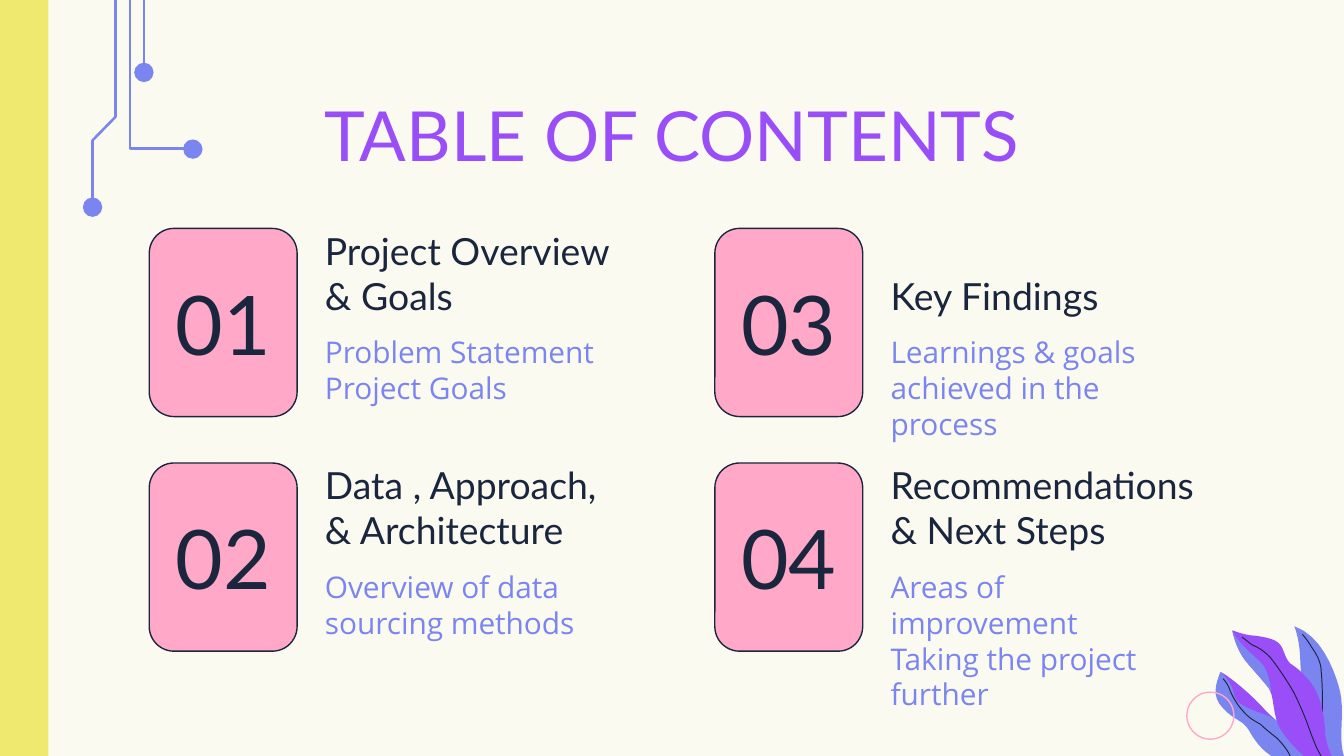
from dataclasses import dataclass

from lxml.etree import SubElement
from pptx import Presentation
from pptx.dml.color import RGBColor
from pptx.enum.shapes import MSO_CONNECTOR, MSO_SHAPE
from pptx.enum.text import MSO_ANCHOR, PP_ALIGN
from pptx.oxml.ns import qn
from pptx.util import Pt


@dataclass(frozen=True)
class Theme:
    cream: str = "FBFAF1"
    yellow: str = "EFE96F"
    pink: str = "FFA8C7"
    blue: str = "7B85EF"
    purple: str = "9A4EF8"
    navy: str = "1A263D"
    heading_font: str = "Lato"
    body_font: str = "Open Sans"
    title_size: float = 37
    number_size: float = 44
    heading_size: float = 20
    body_size: float = 16
    inset: float = 7.2


THEME = Theme()
WIDTH, HEIGHT = 720, 405

SECTIONS = [
    ("01", "Project Overview & Goals", ["Problem Statement", "Project Goals"]),
    ("02", "Data , Approach, & Architecture", ["Overview of data sourcing methods"]),
    ("03", "Key Findings", ["Learnings & goals achieved in the process"]),
    ("04", "Recommendations & Next Steps",
     ["Areas of improvement", "Taking the project further"]),
]

LOW_TIP = (653.8, 360)
LOW_EDGE = (659.5, 362.9, 671, 373, 676.8, 379.4)
LOW_LEAF = [
    LOW_TIP, LOW_EDGE, (682.6, 385.9, 689.8, 390.2, 689.8, 390.2), (702, 405), (681.1, 405),
    (676.1, 401.8, 672.5, 397.4, 668.9, 391), (665.3, 385.2, 661.7, 386.6, 655.2, 379.4),
    (648.7, 373, 651.6, 365.8, 653.8, 360)]
LOW_HALF = [
    LOW_TIP, LOW_EDGE, (678.2, 381.6, 680.4, 383, 682.6, 385.2),
    (679, 382.3, 668.9, 380.9, 663.1, 375.8), (661, 373.7, 661, 369.4, 659.5, 367.2),
    (658.1, 364.3, 655.9, 361.4, 653.8, 360)]
LOW_VEIN = [
    (655.2, 363.6), (656.6, 365, 658.1, 367.2, 658.8, 369.4),
    (660.2, 373, 662.4, 376.6, 664.6, 379.4), (668.9, 384.5, 670.3, 385.2, 675.4, 388.1),
    (677.5, 390.2, 681.1, 393.1, 684, 395.3), (686.9, 398.2, 689.8, 401.8, 691.2, 405)]
RIGHT_LEAF = [
    (693.4, 335.5), (707.8, 340.6, 714.2, 357.8, 717.1, 367.2),
    (720, 376.6, 718.6, 386.6, 718.6, 393.8), (718.6, 401.8, 720, 405, 720, 405), (704.9, 405),
    (704.9, 405, 703.4, 393.1, 702, 383.8), (700.6, 374.4, 699.1, 372.2, 697.7, 364.3),
    (696.2, 356.4, 697, 355, 696.2, 347.8), (695.5, 340.6, 693.4, 335.5, 693.4, 335.5)]
RIGHT_VEIN = [
    (697.7, 339.8), (697.7, 339.8, 699.8, 342, 702, 345.6),
    (703.4, 347.8, 704.9, 349.9, 705.6, 351.4), (707, 354.2, 707.8, 357.1, 707.8, 359.3),
    (708.5, 365.8, 708.5, 374.4, 708.5, 382.3), (708.5, 389.5, 709.2, 396, 709.6, 398.9)]
FRONT_TIP = (660.2, 337.7)
FRONT_EDGE = [
    (676.8, 365, 671.8, 359.3, 667.4, 354.2), (661.7, 347, 660.2, 337.7, 660.2, 337.7)]
FRONT_LEAF = [
    FRONT_TIP, (660.2, 337.7, 667.4, 340.6, 672.5, 340.6),
    (676.8, 341.3, 682.6, 342, 685.4, 344.9), (688.3, 347.8, 688.3, 354.2, 692.6, 356.4),
    (697, 359.3, 703.4, 365.8, 705.6, 371.5), (708.5, 377.3, 709.9, 387.4, 709.9, 391.7),
    (709.9, 396, 712.1, 402.5, 713.5, 405), (698.4, 405),
    (698.4, 405, 687.6, 395.3, 684.7, 388.1), (681.8, 380.9, 682.6, 373, 679.7, 368.6),
    *FRONT_EDGE]
FRONT_HALF = [
    FRONT_TIP, (661.7, 342.7, 671, 350.6, 674.6, 354.2),
    (678.2, 357.1, 680.4, 362.9, 681.1, 372.2), (681.1, 371.5, 680.4, 370.1, 679.7, 368.6),
    *FRONT_EDGE]
FRONT_VEIN = [
    (665.3, 341.3), (667.4, 342.7, 668.9, 344.2, 671, 345.6),
    (674.6, 347, 677.5, 349.2, 680.4, 352.1), (684, 356.4, 689.8, 365, 693.4, 371.5),
    (696.2, 377.3, 699.1, 383.8, 701.3, 390.2), (703.4, 396, 705.6, 401.8, 707.8, 405)]


def trace(segments, steps=8):
    points = [segments[0]]
    for segment in segments[1:]:
        if len(segment) == 2:
            points.append(segment)
            continue
        start, first, second, end = points[-1], segment[:2], segment[2:4], segment[4:]
        for step in range(1, steps + 1):
            t = step / steps
            u = 1 - t
            points.append(tuple(
                u**3 * a + 3 * u * u * t * b + 3 * u * t * t * c + t**3 * d
                for a, b, c, d in zip(start, first, second, end)))
    return points


def write_text(frame, text, *, size, font, color, align=PP_ALIGN.LEFT,
               anchor=MSO_ANCHOR.TOP, spacing=1.0):
    frame.word_wrap = True
    frame.vertical_anchor = anchor
    frame.margin_left = frame.margin_right = Pt(THEME.inset)
    frame.margin_top = frame.margin_bottom = Pt(THEME.inset)
    lines = [text] if isinstance(text, str) else text
    for index, line in enumerate(lines):
        paragraph = frame.add_paragraph() if index else frame.paragraphs[0]
        paragraph.alignment = align
        paragraph.line_spacing = spacing
        run = paragraph.add_run()
        run.text = line
        run.font.size = Pt(size)
        run.font.name = font
        run.font.color.rgb = RGBColor.from_string(color)


class SlideBuilder:
    def __init__(self, slide):
        self.slide = slide
        slide.background.fill.solid()
        slide.background.fill.fore_color.rgb = RGBColor.from_string(THEME.cream)

    def paint(self, shape, fill, line, weight):
        shape.shadow.inherit = False
        if fill:
            shape.fill.solid()
            shape.fill.fore_color.rgb = RGBColor.from_string(fill)
        else:
            shape.fill.background()
        if line:
            shape.line.color.rgb = RGBColor.from_string(line)
            shape.line.width = Pt(weight)
        else:
            shape.line.fill.background()

    def shape(self, kind, left, top, width, height, fill=None, line=None, weight=0.75):
        shape = self.slide.shapes.add_shape(kind, Pt(left), Pt(top), Pt(width), Pt(height))
        self.paint(shape, fill, line, weight)
        return shape

    def outline(self, segments, fill=None, line=None, weight=0.75):
        points = [(Pt(x), Pt(y)) for x, y in trace(segments)]
        builder = self.slide.shapes.build_freeform(*points[0])
        builder.add_line_segments(points[1:], close=fill is not None)
        self.paint(builder.convert_to_shape(), fill, line, weight)

    def line(self, start, end, color, weight):
        connector = self.slide.shapes.add_connector(
            MSO_CONNECTOR.STRAIGHT, *(Pt(value) for value in (*start, *end)))
        connector.line.color.rgb = RGBColor.from_string(color)
        connector.line.width = Pt(weight)
        SubElement(connector.element.spPr, qn("a:effectLst"))

    def text(self, left, top, width, height, text, **style):
        box = self.slide.shapes.add_textbox(Pt(left), Pt(top), Pt(width), Pt(height))
        write_text(box.text_frame, text, **style)

    def section(self, left, top, number, heading, details):
        card = self.shape(MSO_SHAPE.ROUNDED_RECTANGLE, left, top, 79.2, 100.8,
                          THEME.pink, THEME.navy)
        card.adjustments[0] = 0.167
        self.text(left + 4, top + 17.5, 71.3, 65.5, number, size=THEME.number_size,
                  font=THEME.heading_font, color=THEME.navy,
                  align=PP_ALIGN.CENTER, anchor=MSO_ANCHOR.MIDDLE)
        self.text(left + 87, top, 193.7 if number == "04" else 170.6, 55, heading,
                  size=THEME.heading_size, font=THEME.heading_font, color=THEME.navy,
                  anchor=MSO_ANCHOR.BOTTOM)
        self.text(left + 87, top + 49.4, 170.6, 52, details, size=THEME.body_size,
                  font=THEME.body_font, color=THEME.blue)


def main():
    presentation = Presentation()
    presentation.slide_width, presentation.slide_height = Pt(WIDTH), Pt(HEIGHT)
    builder = SlideBuilder(presentation.slides.add_slide(presentation.slide_layouts[6]))
    builder.shape(MSO_SHAPE.RECTANGLE, 0, 0, 26, HEIGHT, THEME.yellow)

    for leaf, color in [(LOW_LEAF, THEME.blue), (LOW_HALF, THEME.purple), (LOW_VEIN, None),
                        (RIGHT_LEAF, THEME.blue), (RIGHT_VEIN, None),
                        (FRONT_LEAF, THEME.purple), (FRONT_HALF, THEME.blue),
                        (FRONT_VEIN, None)]:
        builder.outline(leaf, color, None if color else THEME.navy, 0.5)

    for wire in ([(69.6, 0), (69.6, 79.4), (100.8, 79.4)],
                 [(61.9, 0), (61.9, 62.6), (49.6, 75.2), (49.6, 108.7)]):
        builder.outline(wire, line=THEME.blue, weight=1.4)
    builder.line((77.1, 0), (77.1, 36.7), THEME.blue, 1.4)
    for x, y in [(49.6, 111), (103.3, 79.9), (77.1, 38.8)]:
        builder.shape(MSO_SHAPE.OVAL, x - 5.2, y - 5.2, 10.4, 10.4, THEME.blue)
    builder.shape(MSO_SHAPE.OVAL, 635.8, 370.8, 25.2, 25.2, line=THEME.pink)

    builder.text(56.2, 42.5, 607, 45.4, "TABLE OF CONTENTS", size=THEME.title_size,
                 font=THEME.heading_font, color=THEME.purple, align=PP_ALIGN.CENTER)
    for index, section in enumerate(SECTIONS):
        column, row = divmod(index, 2)
        builder.section(80 + 303 * column, 122.4 + 125.7 * row, *section)
    presentation.save("out.pptx")


if __name__ == "__main__":
    main()
